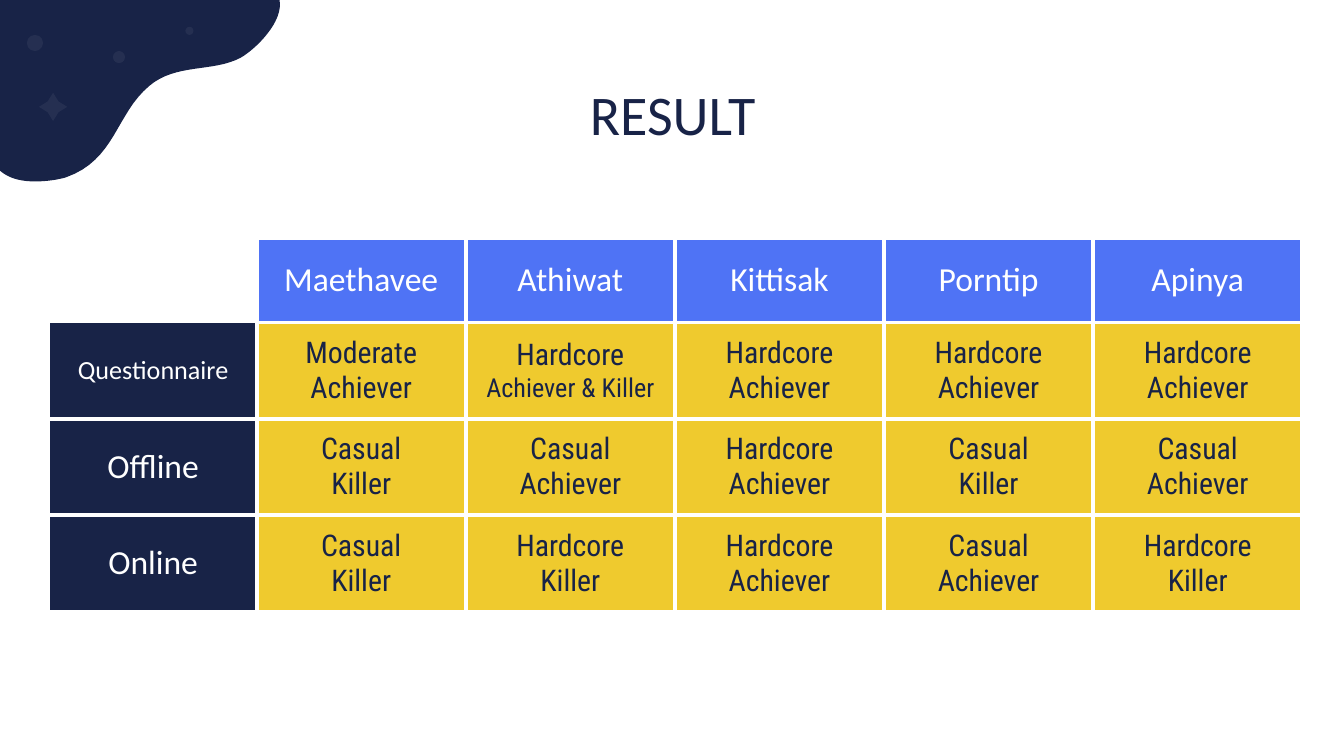
import pptx
import pptx.util
import pptx.dml.color
import pptx.enum.shapes
import pptx.enum.text
import pptx.oxml
import pptx.oxml.ns
from lxml import etree

RGBColor = pptx.dml.color.RGBColor
Inches = pptx.util.Inches
SHAPE = pptx.enum.shapes.MSO_SHAPE
ANCHOR = pptx.enum.text.MSO_ANCHOR

NAVY = RGBColor(0x18, 0x23, 0x47)
BLUE = RGBColor(0x4F, 0x73, 0xF5)
YELLOW = RGBColor(0xEF, 0xCA, 0x2E)
WHITE = RGBColor(0xFF, 0xFF, 0xFF)

TITLE = "RESULT"
PLAYERS = ["Maethavee", "Athiwat", "Kittisak", "Porntip", "Apinya"]
RESULTS = [
    ("Questionnaire", ["Moderate\nAchiever", "Hardcore\nAchiever & Killer", "Hardcore\nAchiever",
                       "Hardcore\nAchiever", "Hardcore\nAchiever"]),
    ("Offline", ["Casual\nKiller", "Casual Achiever", "Hardcore\nAchiever",
                 "Casual\nKiller", "Casual\nAchiever"]),
    ("Online", ["Casual\nKiller", "Hardcore\nKiller", "Hardcore\nAchiever",
                "Casual\nAchiever", "Hardcore\nKiller"]),
]
SMALL_TEXT = {"Questionnaire", "Achiever & Killer"}

BLOB_START = (0, 1.27)
BLOB_CURVES = [
    ((0.07, 1.33), (0.16, 1.35), (0.26, 1.35)),
    ((0.34, 1.35), (0.42, 1.34), (0.49, 1.32)),
    ((0.86, 1.19), (0.86, 0.85), (1.11, 0.64)),
    ((1.31, 0.47), (1.58, 0.54), (1.79, 0.43)),
    ((1.91, 0.36), (2.11, 0.16), (2.08, 0)),
]
SPARKS = [
    (SHAPE.OVAL, 0.84, 0.38, 0.09),
    (SHAPE.OVAL, 0.2, 0.26, 0.12),
    (SHAPE.STAR_4_POINT, 0.29, 0.69, 0.21),
    (SHAPE.OVAL, 1.38, 0.2, 0.06),
]
CURVE_STEPS = 16

PAGE_WIDTH = 10
PAGE_HEIGHT = PAGE_WIDTH * 9 / 16
TABLE_LEFT, TABLE_TOP, TABLE_WIDTH, TABLE_HEIGHT = 0.37, 1.77, 9.32, 2.83
LABEL_WIDTH = 1.54
PLAYER_WIDTH = (TABLE_WIDTH - LABEL_WIDTH) / len(PLAYERS)
COLUMN_WIDTHS = [LABEL_WIDTH] + [PLAYER_WIDTH] * len(PLAYERS)
ROW_HEIGHT = 0.63


def write_text(frame, text, size=18, font="Calibri", color=WHITE, anchor=ANCHOR.MIDDLE):
    frame.word_wrap = True
    frame.vertical_anchor = anchor
    for index, line in enumerate(text.split("\n")):
        para = frame.paragraphs[0] if index == 0 else frame.add_paragraph()
        para.alignment = pptx.enum.text.PP_ALIGN.CENTER
        span = para.add_run()
        span.text = line
        span.font.size = pptx.util.Pt(14 if line in SMALL_TEXT else size)
        span.font.name = font
        span.font.color.rgb = color


def fill_shape(shape, color, alpha=None):
    shape.shadow.inherit = False
    shape.line.fill.background()
    shape.fill.solid()
    shape.fill.fore_color.rgb = color
    if alpha is not None:
        tint = shape.element.spPr.find(".//" + pptx.oxml.ns.qn("a:srgbClr"))
        etree.SubElement(tint, pptx.oxml.ns.qn("a:alpha"), val=str(alpha * 1000))


def curve_points(start, curves):
    for first, second, end in curves:
        for step in range(1, CURVE_STEPS + 1):
            t = step / CURVE_STEPS
            u = 1 - t
            yield tuple(
                Inches(u**3 * a + 3 * u * u * t * b + 3 * u * t * t * c + t**3 * d)
                for a, b, c, d in zip(start, first, second, end)
            )
        start = end


def draw_corner(page):
    builder = page.shapes.build_freeform(0, 0, scale=1.0)
    outline = [tuple(Inches(value) for value in BLOB_START)]
    outline += curve_points(BLOB_START, BLOB_CURVES)
    builder.add_line_segments(outline, close=True)
    fill_shape(builder.convert_to_shape(), NAVY)
    for kind, left, top, size in SPARKS:
        spark = page.shapes.add_shape(kind, Inches(left), Inches(top), Inches(size), Inches(size))
        if kind == SHAPE.STAR_4_POINT:
            spark.adjustments[0] = 0.27
        fill_shape(spark, WHITE, alpha=6)


def set_borders(cell, hidden):
    properties = cell._tc.get_or_add_tcPr()
    paint = f'<a:solidFill><a:srgbClr val="{WHITE}"/></a:solidFill>'
    for index, side in enumerate("LRTB"):
        border = pptx.oxml.parse_xml(
            f'<a:ln{side} {pptx.oxml.ns.nsdecls("a")} w="{pptx.util.Pt(2.25)}">'
            f'{"<a:noFill/>" if side in hidden else paint}</a:ln{side}>'
        )
        properties.insert(index, border)


def style_cell(cell, text, fill, hidden="", **text_format):
    cell.margin_left = cell.margin_right = cell.margin_top = cell.margin_bottom = Inches(0.1)
    cell.vertical_anchor = ANCHOR.MIDDLE
    if fill is None:
        cell.fill.background()
    else:
        cell.fill.solid()
        cell.fill.fore_color.rgb = fill
        write_text(cell.text_frame, text, **text_format)
    set_borders(cell, hidden)


def draw_table(page):
    holder = page.shapes.add_table(
        len(RESULTS) + 1, len(COLUMN_WIDTHS), Inches(TABLE_LEFT), Inches(TABLE_TOP),
        Inches(TABLE_WIDTH), Inches(TABLE_HEIGHT),
    )
    table = holder.table
    table.first_row = table.horz_banding = False
    for column, width in zip(table.columns, COLUMN_WIDTHS):
        column.width = Inches(width)
    for row in table.rows:
        row.height = Inches(ROW_HEIGHT)
    holder.height = Inches(TABLE_HEIGHT)
    style_cell(table.cell(0, 0), "", None, hidden="LTB")
    for column, player in enumerate(PLAYERS, 1):
        style_cell(table.cell(0, column), player, BLUE)
    for row, (stage, outcomes) in enumerate(RESULTS, 1):
        style_cell(table.cell(row, 0), stage, NAVY, hidden="LT" if row == 1 else "L")
        for column, outcome in enumerate(outcomes, 1):
            style_cell(table.cell(row, column), outcome, YELLOW,
                       size=16, font="Roboto Condensed", color=NAVY)


def main():
    deck = pptx.Presentation()
    deck.slide_width, deck.slide_height = Inches(PAGE_WIDTH), Inches(PAGE_HEIGHT)
    page = deck.slides.add_slide(deck.slide_layouts[5])
    draw_corner(page)
    title = page.shapes.title
    title.element.getparent().append(title.element)
    title.left, title.top = Inches(0.79), Inches(0.49)
    title.width, title.height = Inches(8.43), Inches(0.63)
    frame = title.text_frame
    frame.margin_left = frame.margin_right = frame.margin_top = frame.margin_bottom = Inches(0.1)
    frame.auto_size = pptx.enum.text.MSO_AUTO_SIZE.NONE
    write_text(frame, TITLE, size=30, color=NAVY, anchor=ANCHOR.TOP)
    draw_table(page)
    deck.save("out.pptx")


if __name__ == "__main__":
    main()
